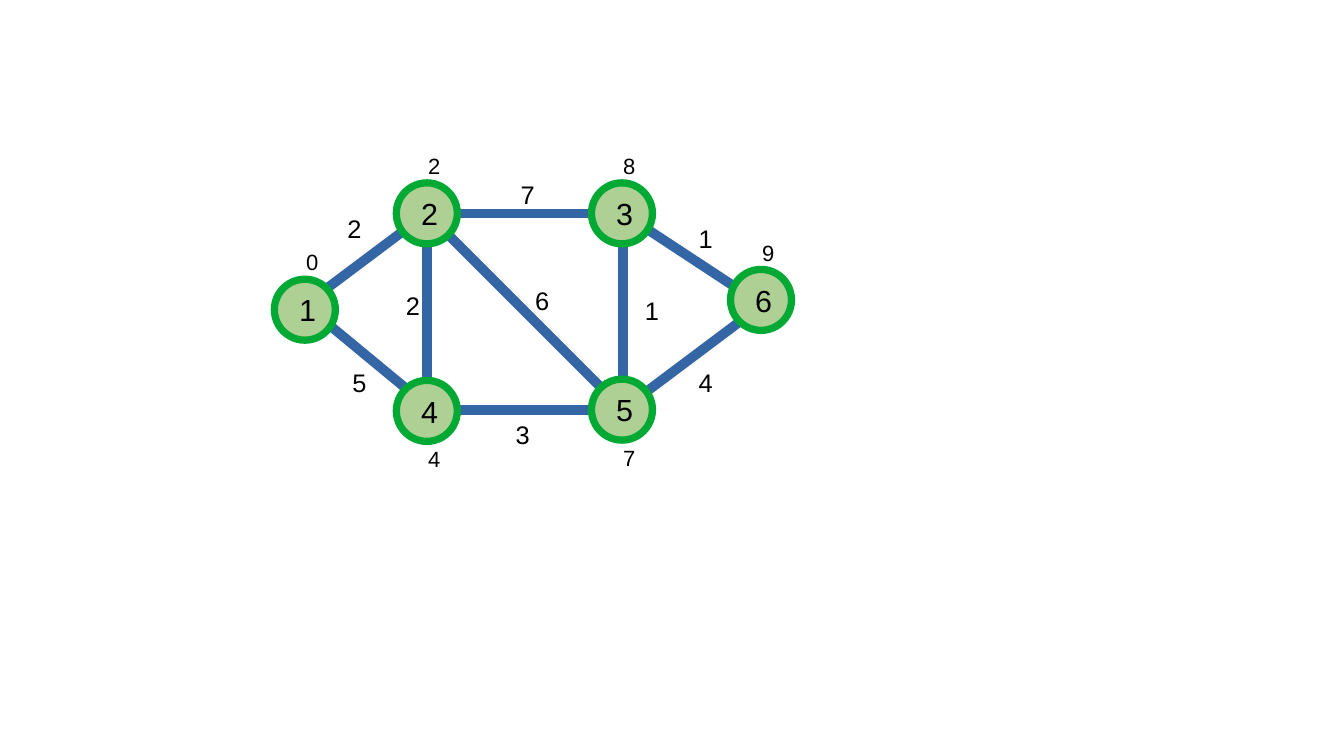
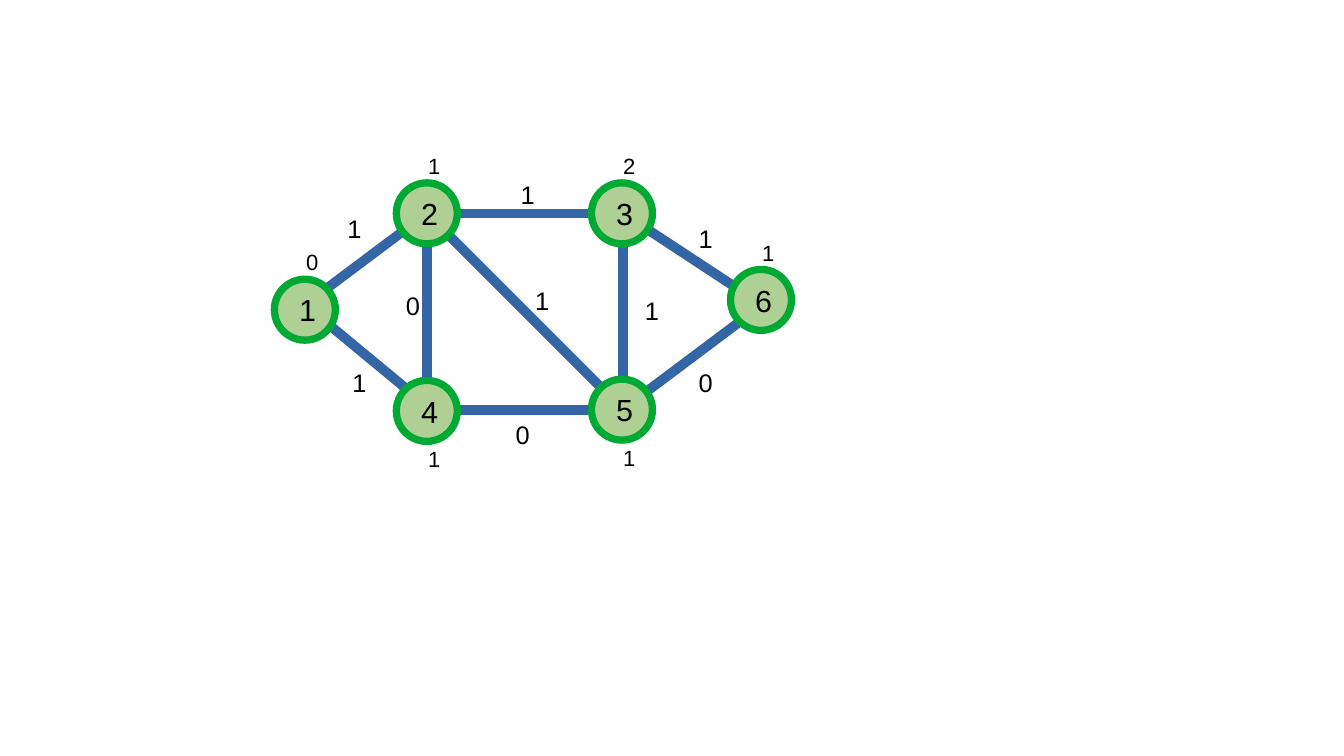
from lxml import etree
from pptx import Presentation
from pptx.dml.color import RGBColor
from pptx.enum.shapes import MSO_CONNECTOR, MSO_SHAPE
from pptx.enum.text import MSO_ANCHOR, MSO_AUTO_SIZE, PP_ALIGN
from pptx.oxml.ns import qn
from pptx.util import Inches, Pt

BLACK = RGBColor(0x00, 0x00, 0x00)
BLUE = RGBColor(0x34, 0x65, 0xA4)
GREEN = RGBColor(0x00, 0xA9, 0x33)
LIGHT_GREEN = RGBColor(0xAF, 0xD0, 0x95)

NODES = {
    1: (10, 10.16),
    2: (14, 7),
    3: (20.4, 7),
    4: (14, 13.48),
    5: (20.4, 13.44),
    6: (24.96, 9.84),
}
BELOW = {4, 5}

EDGES = {
    (1, 2): ((14, 7), (10, 10), (11, 6.8)),
    (1, 4): ((14.16, 13.44), (10, 10), (11.16, 11.84)),
    (2, 3): ((14, 7), (20, 7), (16.68, 5.68)),
    (2, 4): ((14, 7), (14, 13), (12.92, 9.32)),
    (2, 5): ((14, 7), (20, 13), (17.16, 9.16)),
    (3, 5): ((20.44, 7), (20.44, 13), (20.76, 9.48)),
    (3, 6): ((20.44, 7), (25, 10), (22.52, 7.12)),
    (4, 5): ((14.16, 13.44), (20.16, 13.44), (16.52, 13.56)),
    (5, 6): ((21, 13), (25, 10), (22.52, 11.84)),
}

GRAPHS = [
    {
        "weights": {(1, 2): 2, (1, 4): 5, (2, 3): 7, (2, 4): 2, (2, 5): 6,
                    (3, 5): 1, (3, 6): 1, (4, 5): 3, (5, 6): 4},
        "distances": {1: 0, 2: 2, 3: 8, 4: 4, 5: 7, 6: 9},
    },
    {
        "weights": {(1, 2): 1, (1, 4): 1, (2, 3): 1, (2, 4): 0, (2, 5): 1,
                    (3, 5): 1, (3, 6): 1, (4, 5): 0, (5, 6): 0},
        "distances": {1: 0, 2: 1, 3: 2, 4: 1, 5: 1, 6: 1},
    },
]


class GraphDeck:
    CELL = 0.25
    FONT = "Arial"
    NODE_SIZE = 2
    DISTANCE_SIZE = 1.52
    DISTANCE_SHIFT = (0.24, 1.56)
    WEIGHT_BOX = (1.24, 1.32)

    def __init__(self):
        self.prs = Presentation()
        self.prs.slide_width = Inches(11.02)
        self.prs.slide_height = Inches(6.2)
        self.s = None

    def new_slide(self):
        self.s = self.prs.slides.add_slide(self.prs.slide_layouts[6])

    def cells(self, *counts):
        return [Inches(count * self.CELL) for count in counts]

    def around(self, centre, size):
        x, y = centre
        return self.cells(x - size / 2, y - size / 2, size, size)

    def set_text(self, sp, text, size, align, anchor, inset_x, inset_y):
        tf = sp.text_frame
        tf.text = str(text)
        tf.vertical_anchor = anchor
        tf.margin_left = tf.margin_right = Inches(inset_x)
        tf.margin_top = tf.margin_bottom = Inches(inset_y)
        p = tf.paragraphs[0]
        p.alignment = align
        font = p.runs[0].font
        font.name = self.FONT
        font.size = Pt(size)
        font.color.rgb = BLACK

    def label(self, box, text, size, align, anchor):
        sp = self.s.shapes.add_textbox(*box)
        self.set_text(sp, text, size, align, anchor, 0.1, 0.05)
        sp.text_frame.word_wrap = False
        sp.text_frame.auto_size = MSO_AUTO_SIZE.SHAPE_TO_FIT_TEXT

    def edge(self, start, end):
        line = self.s.shapes.add_connector(
            MSO_CONNECTOR.STRAIGHT, *self.cells(*start, *end))
        line.line.color.rgb = BLUE
        line.line.width = Pt(5.75)
        etree.SubElement(line._element.spPr, qn("a:effectLst"))

    def node(self, centre, name):
        sp = self.s.shapes.add_shape(
            MSO_SHAPE.OVAL, *self.around(centre, self.NODE_SIZE))
        sp.shadow.inherit = False
        sp.fill.solid()
        sp.fill.fore_color.rgb = LIGHT_GREEN
        sp.line.color.rgb = GREEN
        sp.line.width = Pt(4.31)
        self.set_text(sp, name, 18, PP_ALIGN.CENTER, MSO_ANCHOR.MIDDLE,
                      0.13, 0.08)

    def weight(self, corner, value):
        box = self.cells(*corner, *self.WEIGHT_BOX)
        self.label(box, value, 15, PP_ALIGN.LEFT, MSO_ANCHOR.TOP)

    def distance(self, centre, value, below):
        dx, dy = self.DISTANCE_SHIFT
        x, y = centre
        box = self.around((x + dx, y + dy if below else y - dy),
                          self.DISTANCE_SIZE)
        self.label(box, value, 13, PP_ALIGN.CENTER, MSO_ANCHOR.MIDDLE)

    def graph(self, weights, distances):
        self.new_slide()
        for start, end, _ in EDGES.values():
            self.edge(start, end)
        for name, centre in NODES.items():
            self.node(centre, name)
        for pair, value in weights.items():
            self.weight(EDGES[pair][2], value)
        for name, value in distances.items():
            self.distance(NODES[name], value, name in BELOW)


def main():
    deck = GraphDeck()
    for graph in GRAPHS:
        deck.graph(**graph)
    deck.prs.save("out.pptx")


if __name__ == "__main__":
    main()
